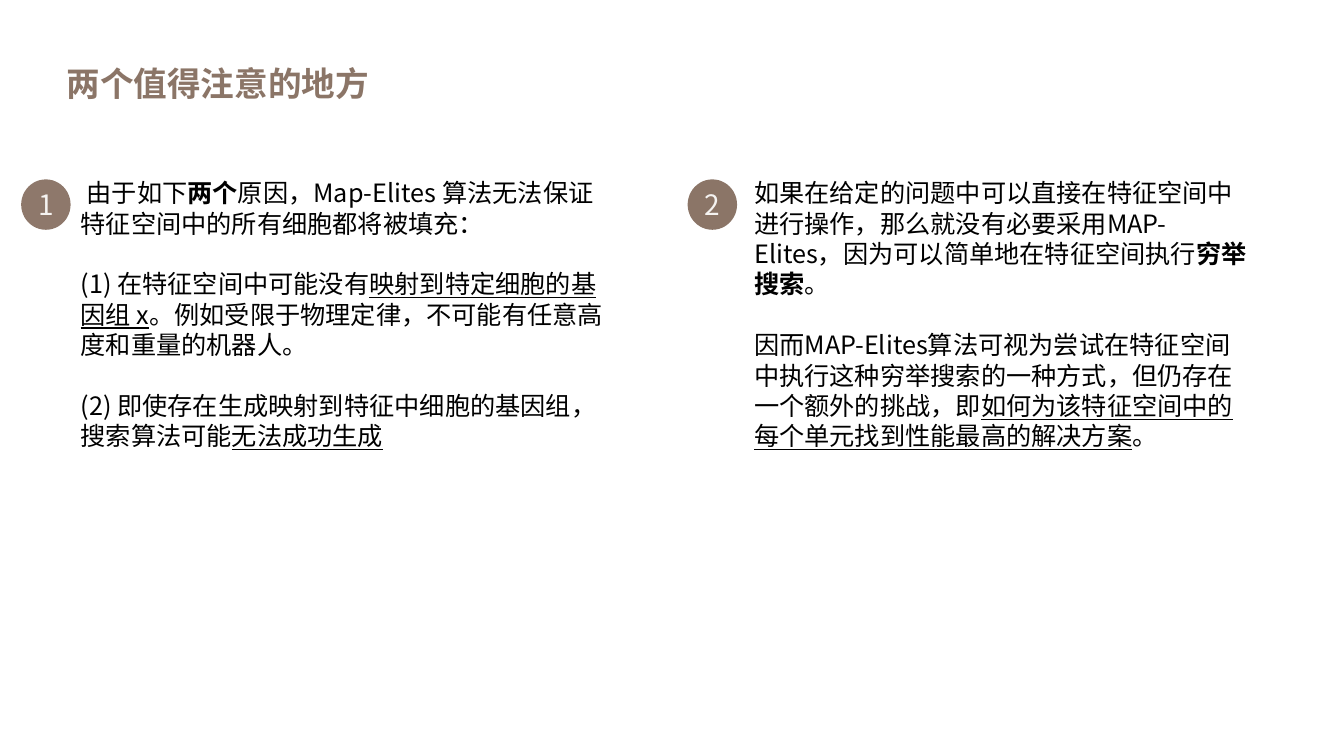
from lxml.etree import SubElement
from pptx import Presentation
from pptx.dml.color import RGBColor
from pptx.enum.shapes import MSO_SHAPE
from pptx.enum.text import MSO_ANCHOR, PP_ALIGN
from pptx.oxml.ns import qn
from pptx.util import Inches, Pt

FACE = "Noto Sans CJK SC"
BROWN = RGBColor(0x8B, 0x75, 0x67)
TAUPE = RGBColor(0x8E, 0x78, 0x6B)
CREAM = RGBColor(0xF5, 0xF3, 0xF1)
BLACK = RGBColor(0, 0, 0)
LINE = Pt(21.7)

TITLE = "两个值得注意的地方"
LEFT = [
    [("由于如下", ""), ("两个", "b"),
     ("原因，Map-Elites 算法无法保证特征空间中的所有细胞都将被填充：", "")],
    [("(1) 在特征空间中可能没有", ""), ("映射到特定细胞的基因组 x", "u"),
     ("。例如受限于物理定律，不可能有任意高度和重量的机器人。", "")],
    [("(2) 即使存在生成映射到特征中细胞的基因组，搜索算法可能", ""),
     ("无法成功生成", "u")],
]
RIGHT = [
    [("如果在给定的问题中可以直接在特征空间中进行操作，那么就没有必要采用"
      "MAP-Elites，因为可以简单地在特征空间执行", ""),
     ("穷举搜索", "b"), ("。", "")],
    [("因而MAP-Elites算法可视为尝试在特征空间中执行这种穷举搜索的一种方式，"
      "但仍存在一个额外的挑战，即", ""),
     ("如何为该特征空间中的每个单元找到性能最高的解决方案", "u"), ("。", "")],
]
COLUMNS = [
    ("1", 0.21, TAUPE, 0.7, 5.5, 0.06, LEFT),
    ("2", 6.82, BROWN, 7.38, 5.12, 0, RIGHT),
]


def place(shape, x, y, w, h):
    shape.left, shape.top = Inches(x), Inches(y)
    shape.width, shape.height = Inches(w), Inches(h)


def style(para, size, color, bold=False):
    font = para.font
    font.size, font.bold, font.name = Pt(size), bold, FACE
    font.color.rgb = color
    base = para._p.pPr.find(qn("a:defRPr"))
    SubElement(base, qn("a:ea")).set("typeface", FACE)


def write(frame, paras, indent):
    frame.word_wrap = True
    frame.vertical_anchor = MSO_ANCHOR.TOP
    for i, runs in enumerate(paras):
        para = frame.add_paragraph() if i else frame.paragraphs[0]
        props = para._p.get_or_add_pPr()
        props.set("marL", "0")
        props.set("indent", str(0 if i else Inches(indent)))
        SubElement(props, qn("a:buNone"))
        para.line_spacing = LINE
        para.space_before = LINE if i else Pt(0)
        style(para, 18, BLACK)
        for text, mark in runs:
            run = para.add_run()
            run.text = text
            if mark == "b":
                run.font.bold = True
            if mark == "u":
                run.font.underline = True


def badge(slide, label, x, color):
    disc = slide.shapes.add_shape(
        MSO_SHAPE.OVAL, Inches(x), Inches(1.78), Inches(0.49), Inches(0.5))
    disc.shadow.inherit = False
    disc.fill.solid()
    disc.fill.fore_color.rgb = color
    disc.line.fill.background()
    frame = disc.text_frame
    frame.margin_left = frame.margin_right = 0
    frame.margin_top = frame.margin_bottom = 0
    frame.vertical_anchor = MSO_ANCHOR.MIDDLE
    para = frame.paragraphs[0]
    para.text = label
    para.alignment = PP_ALIGN.CENTER
    style(para, 20, CREAM)


def main():
    deck = Presentation()
    deck.slide_width, deck.slide_height = Inches(13.33), Inches(7.5)
    slide = deck.slides.add_slide(deck.slide_layouts[3])
    head, *bodies = slide.placeholders
    place(head, 0.56, 0.57, 7.14, 0.5)
    head.text_frame.text = TITLE
    head.text_frame.vertical_anchor = MSO_ANCHOR.MIDDLE
    para = head.text_frame.paragraphs[0]
    para.alignment = PP_ALIGN.LEFT
    style(para, 24, BROWN, True)
    for body, column in zip(bodies, COLUMNS):
        label, spot, color, x, width, indent, paras = column
        place(body, x, 1.71, width, 2.83)
        write(body.text_frame, paras, indent)
        badge(slide, label, spot, color)
    for extra in bodies[len(COLUMNS):]:
        extra._element.getparent().remove(extra._element)
    deck.save("out.pptx")


if __name__ == "__main__":
    main()
